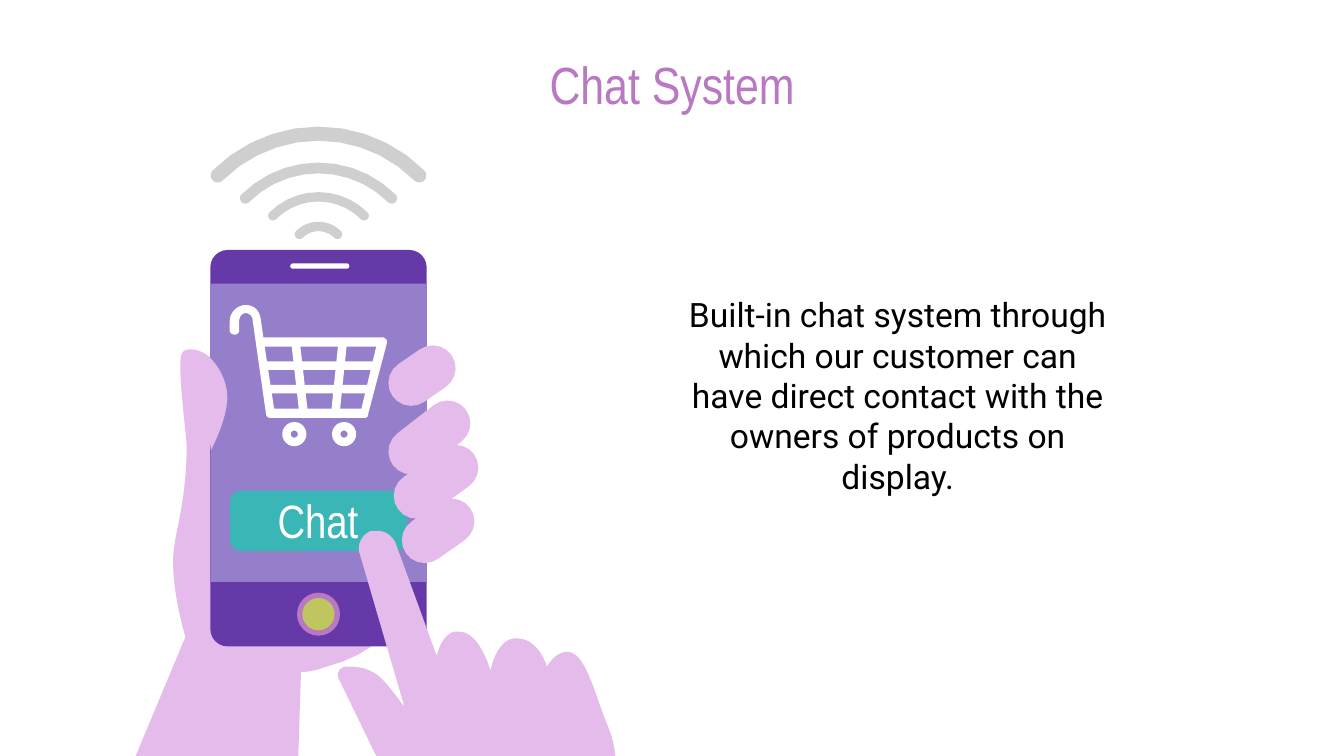
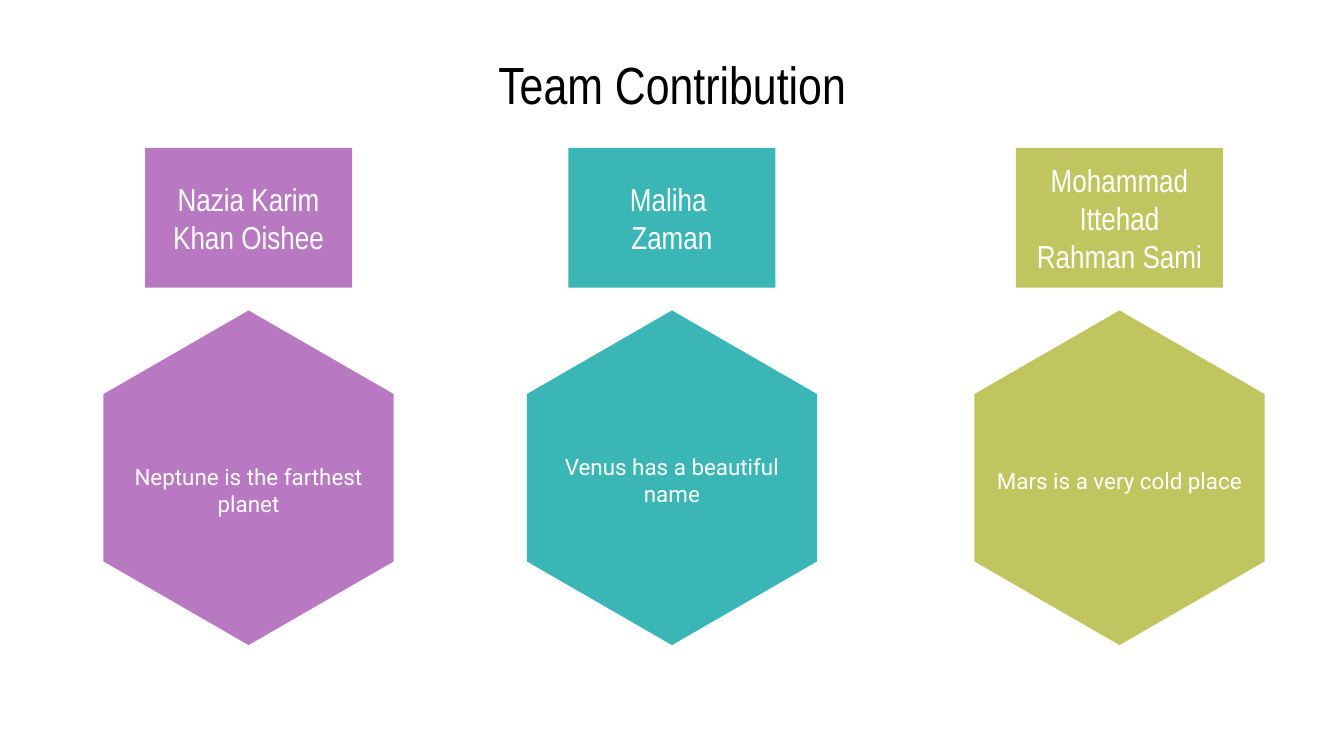
import math

from pptx import Presentation, util as u
from pptx.dml.color import RGBColor
from pptx.enum import shapes, text

BLACK = RGBColor(0x00, 0x00, 0x00)
WHITE = RGBColor(0xFF, 0xFF, 0xFF)
ORCHID = RGBColor(0xB8, 0x78, 0xC2)
TEAL = RGBColor(0x39, 0xB6, 0xB5)
OLIVE = RGBColor(0xC0, 0xC5, 0x5F)
SKIN = RGBColor(0xE5, 0xBB, 0xEB)
PHONE_CASE = RGBColor(0x66, 0x39, 0xA8)
PHONE_SCREEN = RGBColor(0x95, 0x7F, 0xCA)
SIGNAL_GREY = RGBColor(0xCF, 0xCF, 0xCF)

COLUMNS = 100
ROWS = 56.25
HEADING_FONT = "Arial Narrow"
BODY_FONT = "Roboto"
CURVE_STEPS = 10
KIND = shapes.MSO_SHAPE


def arc(centre, radius, start, end):
    angles = [math.radians(start + (end - start) * step / CURVE_STEPS)
              for step in range(CURVE_STEPS + 1)]
    return [(centre[0] + radius * math.cos(a), centre[1] + radius * math.sin(a))
            for a in angles]


def capsule(start, end, radius):
    heading = math.degrees(math.atan2(end[1] - start[1], end[0] - start[0]))
    return (arc(end, radius, heading - 90, heading + 90)
            + arc(start, radius, heading + 90, heading + 270))


def signal_wave(middle, crest, radius, thickness):
    centre = (middle, crest + radius)
    half = thickness / 2
    left, right = (arc(centre, radius, angle, angle)[0] for angle in (225, 315))
    return (arc(centre, radius + half, 225, 315) + arc(right, half, -45, 135)
            + arc(centre, radius - half, 315, 225) + arc(left, half, 45, 225))


def trace(outline):
    points = []
    for segment in outline.split("/"):
        numbers = [float(n) for n in segment.split()]
        pairs = list(zip(numbers[::2], numbers[1::2]))
        if len(pairs) == 1:
            points += pairs
            continue
        controls = [points[-1]] + pairs
        for step in range(1, CURVE_STEPS + 1):
            t = step / CURVE_STEPS
            weights = [math.comb(3, i) * t ** i * (1 - t) ** (3 - i) for i in range(4)]
            points.append(tuple(sum(w * c[axis] for w, c in zip(weights, controls))
                                for axis in (0, 1)))
    return points


def apply(target, values):
    for name, value in values.items():
        setattr(target, name, value)


class Deck:
    margins = dict.fromkeys(
        ("margin_left", "margin_top", "margin_right", "margin_bottom"), u.Inches(0.1))
    frame_style = {**margins, "word_wrap": True,
                   "vertical_anchor": text.MSO_ANCHOR.MIDDLE,
                   "auto_size": text.MSO_AUTO_SIZE.NONE}

    def __init__(self):
        self.prs = Presentation()
        apply(self.prs, {"slide_width": u.Inches(10), "slide_height": u.Inches(5.625)})
        self.column = self.prs.slide_width / COLUMNS
        self.row = self.prs.slide_height / ROWS
        self.slide = None

    def place(self, left, top, width, height):
        return (round(left * self.column), round(top * self.row),
                round(width * self.column), round(height * self.row))

    def new_slide(self, heading, color):
        self.slide = self.prs.slides.add_slide(self.prs.slide_layouts[5])
        title = self.slide.shapes.title
        box = self.place(27.5, 4.5, 45, 3.5)
        apply(title, dict(zip(("left", "top", "width", "height"), box)))
        self.fill_text(title, [heading], HEADING_FONT, 28, color)

    def fill_text(self, holder, lines, font, size, color):
        frame = holder.text_frame
        apply(frame, self.frame_style)
        frame.text = "\n".join(lines)
        for paragraph in frame.paragraphs:
            paragraph.alignment = text.PP_ALIGN.CENTER
            for run in paragraph.runs:
                apply(run.font, {"name": font, "size": u.Pt(size), "bold": False})
                run.font.color.rgb = color

    def label(self, box, wording, font, size, color):
        holder = self.slide.shapes.add_textbox(*self.place(*box))
        self.fill_text(holder, [wording], font, size, color)

    def paint(self, figure, color):
        figure.shadow.inherit = False
        figure.fill.solid()
        figure.fill.fore_color.rgb = color
        figure.line.fill.background()
        return figure

    def preset(self, kind, box, color, adjustment=None):
        figure = self.slide.shapes.add_shape(kind, *self.place(*box))
        if adjustment is not None:
            figure.adjustments[0] = adjustment
        return self.paint(figure, color)

    def outline(self, color, *contours):
        builder = None
        for contour in contours:
            start, *rest = [(round(x * self.column), round(y * self.row))
                            for x, y in contour]
            if builder is None:
                builder = self.slide.shapes.build_freeform(*start)
            else:
                builder.move_to(*start)
            builder.add_line_segments(rest, close=True)
        return self.paint(builder.convert_to_shape(), color)


PALM = """14.2 26 / 13.9 26 13.7 26.1 13.6 26.2 / 13.1 26.6 13.8 31.6 13.9 33.2
/ 13.9 36.9 13.1 39.5 13 40.5 / 12.7 42 13 44.6 13.8 47.4 / 10.1 56.25 / 22.2 56.25
/ 22.4 50 / 22.9 50 23.5 49.9 24 49.7 / 29.2 48.4 30.1 45.1 30.1 45.1
/ 30.1 45.1 18.9 35.9 17.7 30.8 / 16.8 26.9 15.2 26 14.2 26"""
THUMB = """15.5 26.5 / 15.2 29.3 / 15.7 33.5 / 15.7 33.5 17.1 30.9 16.9 29.2
/ 16.7 27.5 15.5 26.5 15.5 26.5"""
POINTING_HAND = """28.1 39.5 / 27.9 39.5 27.8 39.5 27.6 39.5 / 26.9 39.8 26.5 40.6 26.8 41.3
/ 30.1 52.6 / 29.5 51.8 28.9 51 28.4 50.5 / 27.7 49.8 26.8 49.6 26 49.6
/ 25.9 49.6 25.9 49.6 25.8 49.6 / 25.3 49.6 25 50.1 25.2 50.5
/ 25.8 51.7 26.9 54 28 56.25 / 45.8 56.25 / 45.7 55.4 45.5 54.7 45.3 54.2
/ 44.4 52.1 43.7 49 42.6 48.6 / 42.4 48.5 42.3 48.5 42.2 48.5
/ 41.3 48.5 40.7 49.6 40.7 49.6 / 40.7 49.6 40.1 47.5 38.5 47.5
/ 38.4 47.5 38.3 47.5 38.2 47.5 / 36.9 47.7 36.5 49.9 36.5 49.9
/ 36.5 49.9 35.7 47 34.2 47 / 34 47 33.9 47 33.8 47 / 33.1 47.2 32.7 48 32.5 48.8
/ 29.4 40.3 / 29.1 39.8 28.6 39.5 28.1 39.5"""
BASKET_OPENING = "28 25.8 / 26.9 30.4 / 20.4 30.4 / 19.7 25.8"
CART_FRAME = """18.3 22.7 / 17.7 22.7 17.1 23.2 17.1 23.9 / 17.1 24.6
/ 17.1 24.8 17.3 24.9 17.5 24.9 / 17.6 24.9 17.8 24.8 17.8 24.6 / 17.8 23.9
/ 17.8 23.6 18 23.3 18.3 23.3 / 18.5 23.3 18.8 23.5 18.8 23.8 / 19.8 30.8
/ 19.8 31 20 31.1 20.1 31.1 / 27.1 31.1 / 27.3 31.1 27.4 31 27.4 30.8 / 28.8 25.5
/ 28.8 25.4 28.8 25.3 28.7 25.2 / 28.6 25.2 28.6 25.1 28.5 25.1 / 19.6 25.1
/ 19.4 23.7 / 19.3 23.1 18.9 22.7 18.3 22.7"""
CART_WIRES = [((22, 25.5), (22.6, 30.8)), ((25.5, 25.5), (24.95, 30.8)),
              ((19.9, 27.2), (27.7, 27.2)), ((20.1, 28.95), (27.5, 28.95))]
FINGERS = [((30.6, 33.6), (33.3, 31.5)), ((31, 36.9), (33.9, 34.8)),
           ((31.6, 40.2), (33.6, 38.8)), ((30.6, 28.5), (32.2, 27.4))]
WAVES = [(9.95, 10.6, 1.05), (12.5, 7.7, 0.8), (14.65, 4.8, 0.7), (16.85, 2, 0.7)]


def chat_system(deck):
    deck.new_slide("Chat System", ORCHID)
    deck.outline(SKIN, trace(PALM))
    deck.preset(KIND.ROUNDED_RECTANGLE, (15.65, 18.6, 16.1, 29.5), PHONE_CASE, 0.08)
    deck.preset(KIND.RECTANGLE, (15.7, 21.1, 16.05, 22.2), PHONE_SCREEN)
    deck.outline(WHITE, trace(BASKET_OPENING), trace(CART_FRAME))
    for start, end in CART_WIRES:
        deck.outline(WHITE, capsule(start, end, 0.32))
    for wheel in (21, 24.7):
        deck.preset(KIND.DONUT, (wheel, 31.4, 1.8, 1.8), WHITE, 0.35)
    deck.preset(KIND.ROUNDED_RECTANGLE, (17.1, 36.5, 13.2, 4.5), TEAL, 0.19)
    deck.preset(KIND.ROUNDED_RECTANGLE, (21.6, 19.6, 4.4, 0.4), WHITE, 0.5)
    for inset, color in ((0, ORCHID), (0.4, OLIVE)):
        size = 3.2 - 2 * inset
        deck.preset(KIND.OVAL, (22.1 + inset, 44.1 + inset, size, size), color)
    for start, end in FINGERS:
        deck.outline(SKIN, capsule(start, end, 1.7))
    deck.outline(SKIN, trace(THUMB))
    for crest, radius, thickness in WAVES:
        deck.outline(SIGNAL_GREY, signal_wave(23.7, crest, radius, thickness))
    deck.outline(SKIN, trace(POINTING_HAND))
    deck.label((17.2, 36.7, 12.9, 3.9), "Chat", HEADING_FONT, 25, WHITE)
    deck.label((50, 18.6, 33.6, 21.6),
               "Built-in chat system through which our customer can have direct "
               "contact with the owners of products on display.", BODY_FONT, 18, BLACK)


def team_contribution(deck):
    deck.new_slide("Team Contribution", BLACK)
    members = [
        (18.5, ORCHID, ["Nazia Karim Khan Oishee"], "Neptune is the farthest planet", 28.8),
        (50, TEAL, ["Maliha ", "Zaman"], "Venus has a beautiful name", 27.3),
        (83.3, OLIVE, ["Mohammad Ittehad Rahman Sami"], "Mars is a very cold place", 27.3),
    ]
    half, top, bottom = 10.8, 23.1, 48
    shoulder = (bottom - top) / 4
    for centre, color, member, contribution, text_top in members:
        left, right = centre - half, centre + half
        deck.outline(color, [(centre, top), (left, top + shoulder),
                             (left, bottom - shoulder), (centre, bottom),
                             (right, bottom - shoulder), (right, top + shoulder)])
        deck.label((left, text_top, 2 * half, 44.2 - text_top), contribution,
                   BODY_FONT, 12, WHITE)
        name_plate = deck.preset(KIND.RECTANGLE, (centre - 7.7, 11, 15.4, 10.4), color)
        deck.fill_text(name_plate, member, HEADING_FONT, 17, WHITE)


def main():
    deck = Deck()
    chat_system(deck)
    team_contribution(deck)
    deck.prs.save("out.pptx")


if __name__ == "__main__":
    main()
